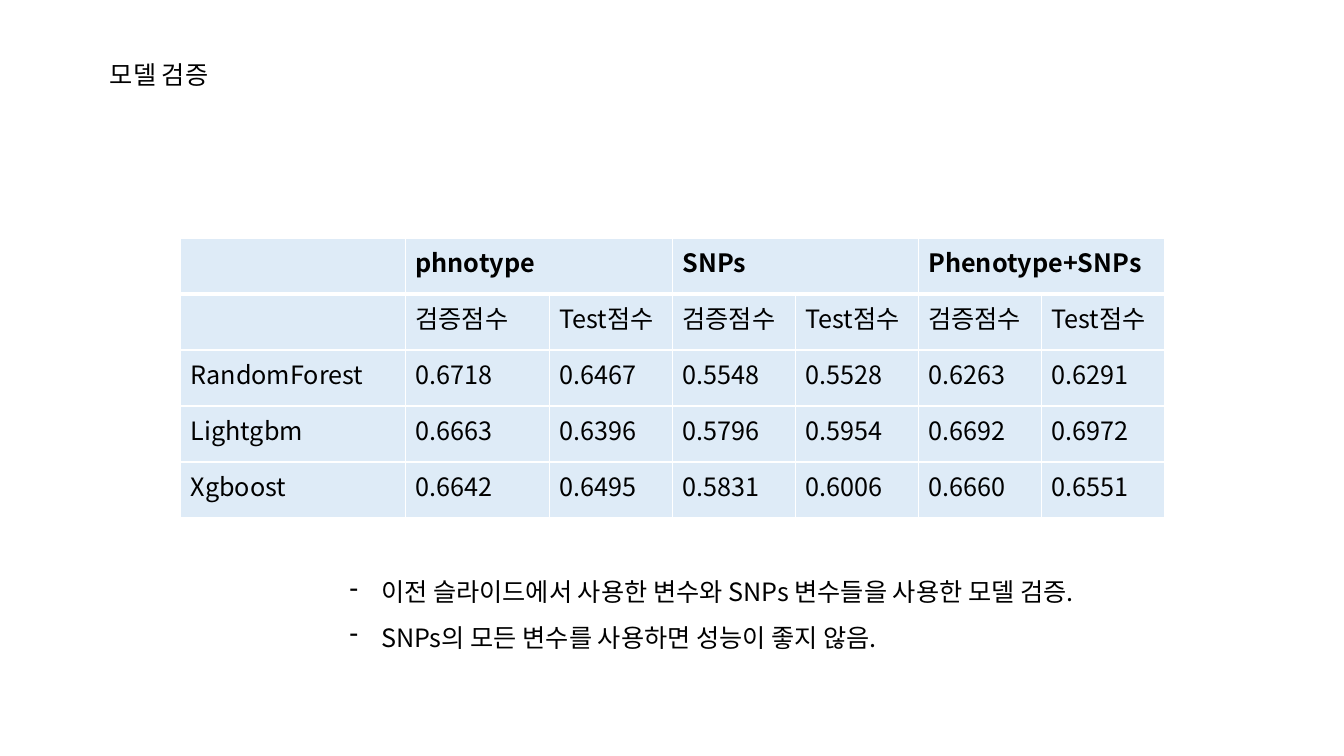
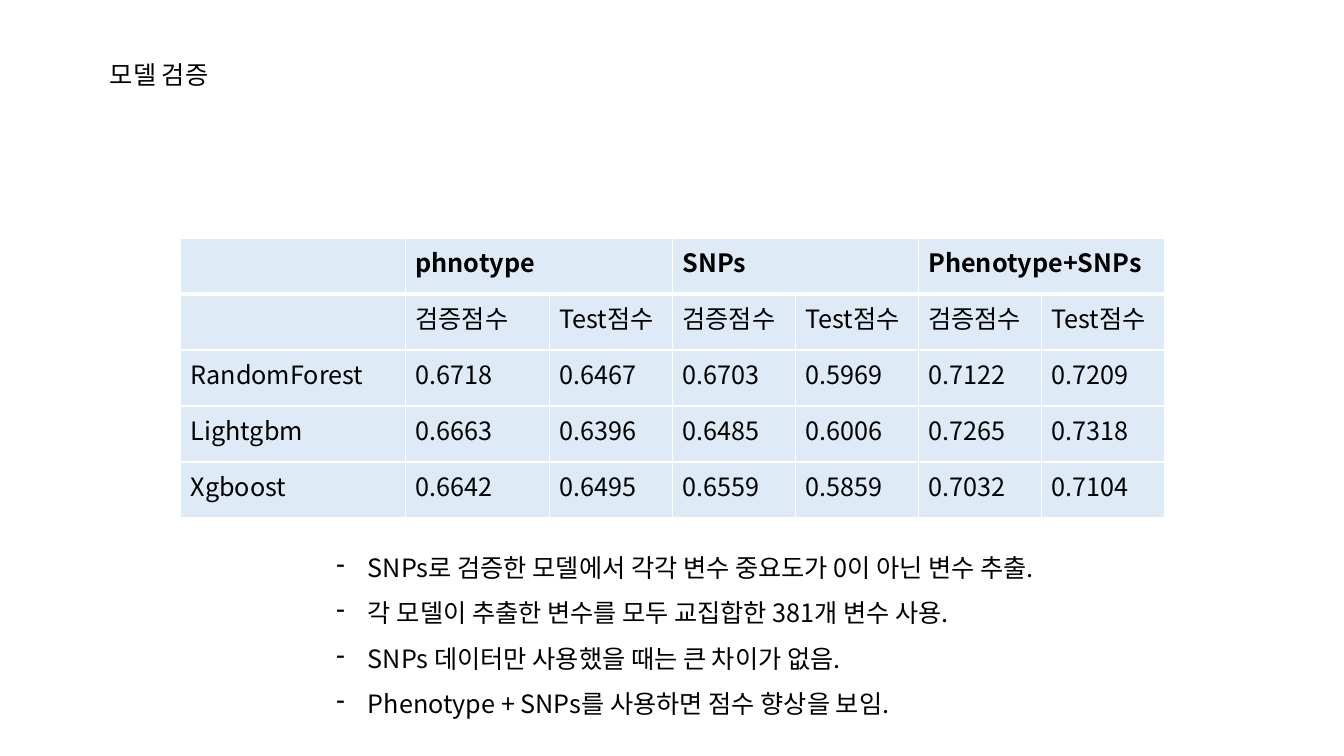
"""Build two slides that compare model validation scores."""
from dataclasses import dataclass

from lxml import etree
from pptx import Presentation
from pptx.dml.color import RGBColor
from pptx.enum.text import MSO_ANCHOR, MSO_AUTO_SIZE, PP_ALIGN
from pptx.oxml.ns import qn
from pptx.util import Pt

LEFT = PP_ALIGN.LEFT
TOP = MSO_ANCHOR.TOP
GROW = MSO_AUTO_SIZE.SHAPE_TO_FIT_TEXT
TITLE_ONLY = 5


@dataclass(frozen=True)
class Theme:
    """Colours, type and line widths shared by the slides, in points."""
    font: str = "Noto Sans CJK KR"
    size: float = 18
    text: RGBColor = RGBColor(0x00, 0x00, 0x00)
    cell: RGBColor = RGBColor(0xDE, 0xEB, 0xF7)
    rule: str = "FFFFFF"
    thin: float = 1
    thick: float = 3
    bullet_indent: float = 22.5
    bullet_spacing: float = 1.5


@dataclass(frozen=True)
class Frame:
    """A rectangle in points."""
    left: float
    top: float
    width: float
    height: float

    def lengths(self) -> tuple:
        """Return left, top, width and height as lengths."""
        return Pt(self.left), Pt(self.top), Pt(self.width), Pt(self.height)


@dataclass(frozen=True)
class ScorePage:
    """The parts of a score slide that vary."""
    snp_scores: tuple
    combined_scores: tuple
    remark_area: Frame
    remarks: tuple


THEME = Theme()
SLIDE_WIDTH, SLIDE_HEIGHT = 960, 540
TITLE = "모델 검증"
TITLE_FRAME = Frame(71.28, 38.88, 162, 29)

MODELS = ("RandomForest", "Lightgbm", "Xgboost")
GROUPS = ("phnotype", "SNPs", "Phenotype+SNPs")
MEASURES = ("검증점수", "Test점수")
PHENOTYPE_SCORES = (("0.6718", "0.6467"), ("0.6663", "0.6396"), ("0.6642", "0.6495"))
COLUMN_WIDTHS = (160.56, 102.96) + (87.84,) * 5
ROW_HEIGHT = 40
TABLE_LEFT, TABLE_TOP = 129, 170

PAGES = (
    ScorePage(
        snp_scores=(("0.5548", "0.5528"), ("0.5796", "0.5954"), ("0.5831", "0.6006")),
        combined_scores=(("0.6263", "0.6291"), ("0.6692", "0.6972"), ("0.6660", "0.6551")),
        remark_area=Frame(242.64, 397.44, 624.24, 68.4),
        remarks=(
            "이전 슬라이드에서 사용한 변수와 SNPs 변수들을 사용한 모델 검증.",
            "SNPs의 모든 변수를 사용하면 성능이 좋지 않음.",
        ),
    ),
    ScorePage(
        snp_scores=(("0.6703", "0.5969"), ("0.6485", "0.6006"), ("0.6559", "0.5859")),
        combined_scores=(("0.7122", "0.7209"), ("0.7265", "0.7318"), ("0.7032", "0.7104")),
        remark_area=Frame(233.28, 380.16, 595.44, 133.92),
        remarks=(
            "SNPs로 검증한 모델에서 각각 변수 중요도가 0이 아닌 변수 추출.",
            "각 모델이 추출한 변수를 모두 교집합한 381개 변수 사용.",
            "SNPs 데이터만 사용했을 때는 큰 차이가 없음.",
            "Phenotype + SNPs를 사용하면 점수 향상을 보임.",
        ),
    ),
)


def add_span(para, text: str, bold: bool = False) -> None:
    """Add one run in the theme's type."""
    span = para.add_run()
    span.text = text
    span.font.size = Pt(THEME.size)
    span.font.bold = bold
    span.font.color.rgb = THEME.text
    span.font.name = THEME.font
    east_asian = etree.SubElement(span.font._element, qn("a:ea"))
    east_asian.set("typeface", THEME.font)


def add_title(page) -> None:
    """Place and format the title placeholder."""
    box = page.shapes.title
    box.left, box.top, box.width, box.height = TITLE_FRAME.lengths()
    frame = box.text_frame
    frame.word_wrap = True
    frame.auto_size = GROW
    frame.vertical_anchor = TOP
    para = frame.paragraphs[0]
    para.alignment = LEFT
    add_span(para, TITLE)


def set_dash_bullet(para) -> None:
    """Give a paragraph a hanging dash bullet."""
    properties = para._p.get_or_add_pPr()
    indent = Pt(THEME.bullet_indent)
    properties.set("marL", str(indent))
    properties.set("indent", str(-indent))
    etree.SubElement(properties, qn("a:buFontTx"))
    etree.SubElement(properties, qn("a:buChar")).set("char", "-")


def add_remarks(page, area: Frame, remarks: tuple) -> None:
    """Add the bulleted remarks below the table."""
    box = page.shapes.add_textbox(*area.lengths())
    frame = box.text_frame
    frame.word_wrap = True
    frame.auto_size = GROW
    for index, remark in enumerate(remarks):
        para = frame.add_paragraph() if index else frame.paragraphs[0]
        para.alignment = LEFT
        para.line_spacing = THEME.bullet_spacing
        set_dash_bullet(para)
        add_span(para, remark)


def style_cell(cell, top_width: float, bottom_width: float) -> None:
    """Fill a cell and rule its four sides."""
    cell.fill.solid()
    cell.fill.fore_color.rgb = THEME.cell
    properties = cell._tc.get_or_add_tcPr()
    sides = (("a:lnL", THEME.thin), ("a:lnR", THEME.thin),
             ("a:lnT", top_width), ("a:lnB", bottom_width))
    for position, (side, width) in enumerate(sides):
        line = etree.Element(qn(side), w=str(Pt(width)))
        fill = etree.SubElement(line, qn("a:solidFill"))
        etree.SubElement(fill, qn("a:srgbClr")).set("val", THEME.rule)
        properties.insert(position, line)


def score_rows(content: ScorePage) -> list:
    """Return the table's text, header rows first."""
    rows = [[""], ["", *MEASURES * len(GROUPS)]]
    for group in GROUPS:
        rows[0] += [group, ""]
    scores = zip(MODELS, PHENOTYPE_SCORES, content.snp_scores, content.combined_scores)
    for model, phenotype, snps, combined in scores:
        rows.append([model, *phenotype, *snps, *combined])
    return rows


def add_score_table(page, content: ScorePage) -> None:
    """Add the table with one pair of columns for each group."""
    rows = score_rows(content)
    frame = Frame(TABLE_LEFT, TABLE_TOP, sum(COLUMN_WIDTHS), ROW_HEIGHT * len(rows))
    table = page.shapes.add_table(len(rows), len(COLUMN_WIDTHS), *frame.lengths()).table
    table.first_row = False
    table.horz_banding = False
    for column, width in zip(table.columns, COLUMN_WIDTHS):
        column.width = Pt(width)
    for row_index, row in enumerate(rows):
        table.rows[row_index].height = Pt(ROW_HEIGHT)
        top_width = THEME.thick if row_index == 1 else THEME.thin
        bottom_width = THEME.thick if row_index == 0 else THEME.thin
        for column_index, text in enumerate(row):
            cell = table.cell(row_index, column_index)
            style_cell(cell, top_width, bottom_width)
            if text:
                add_span(cell.text_frame.paragraphs[0], text, bold=row_index == 0)
    for start in range(1, len(COLUMN_WIDTHS), len(MEASURES)):
        table.cell(0, start).merge(table.cell(0, start + len(MEASURES) - 1))


def build_deck() -> None:
    """Build and save the deck."""
    deck = Presentation()
    deck.slide_width, deck.slide_height = Pt(SLIDE_WIDTH), Pt(SLIDE_HEIGHT)
    for content in PAGES:
        page = deck.slides.add_slide(deck.slide_layouts[TITLE_ONLY])
        add_score_table(page, content)
        add_title(page)
        add_remarks(page, content.remark_area, content.remarks)
    deck.save("out.pptx")


build_deck()
